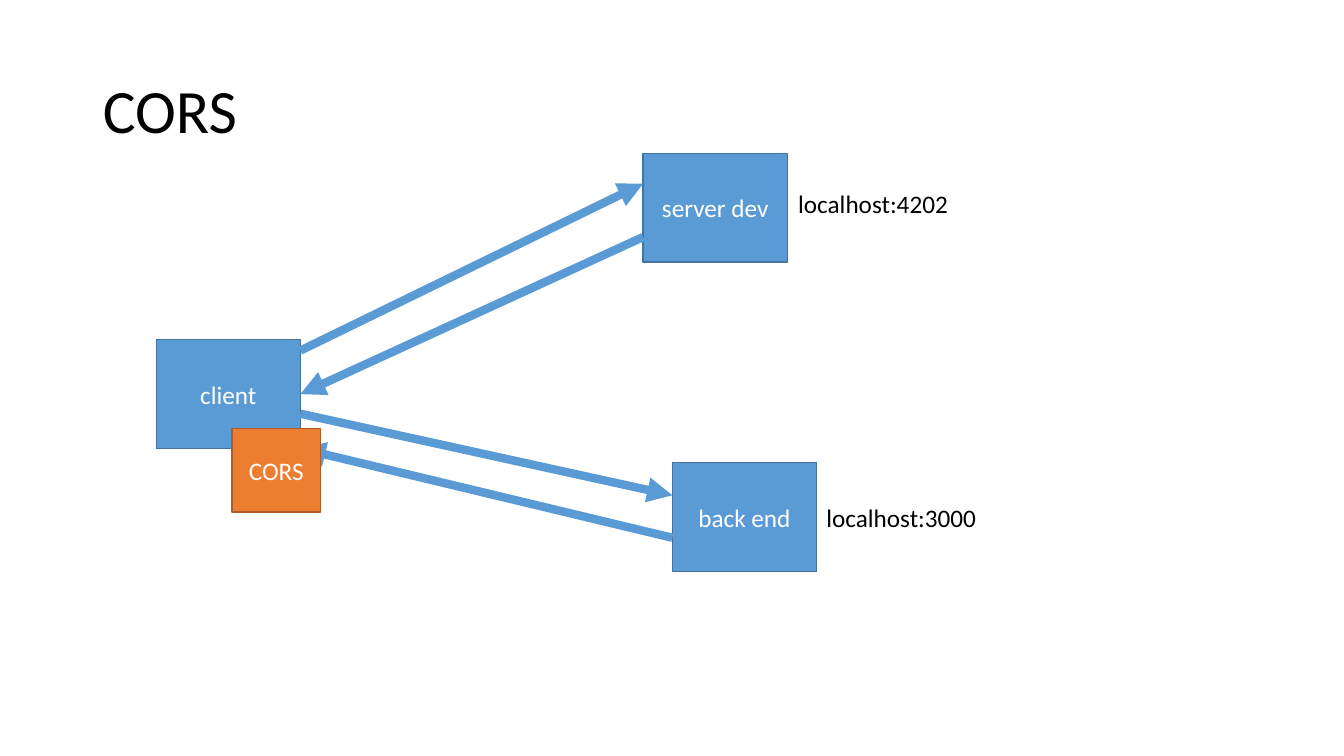
from lxml.etree import SubElement
from pptx import Presentation
from pptx.dml.color import RGBColor
from pptx.enum.shapes import MSO_CONNECTOR, MSO_SHAPE
from pptx.enum.text import MSO_ANCHOR, MSO_AUTO_SIZE, PP_ALIGN
from pptx.oxml.ns import qn
from pptx.util import Inches, Pt

TITLE = "CORS"
FONT = "Calibri"
COLORS = {
    "text": "000000", "label": "FFFFFF",
    "node": "5B9BD5", "node_edge": "43739E",
    "guard": "ED7D31", "guard_edge": "AF5C24",
}

COLUMNS, ROWS = 133.33, 75
TITLE_AREA = (9.2, 4, 115, 14.5)
NODE_SIZE = (14.3, 10.8)
NODES = {
    "client": (15.5, 33.7),
    "server dev": (63.8, 15.2),
    "back end": (66.7, 45.9),
}
ADDRESSES = {
    "localhost:4202": (78.2, 18.2),
    "localhost:3000": (81, 49.3),
}
ADDRESS_SIZE = (17, 4)
GUARD = ("CORS", (23, 42.5, 8.8, 8.3))
MESSAGES = [
    ("client", 0.1, "server dev", 0.28),
    ("server dev", 0.77, "client", 0.5),
    ("client", 0.68, "back end", 0.3),
    ("back end", 0.69, "client", 1),
]

deck = Presentation()
deck.slide_width, deck.slide_height = Inches(13.33), Inches(7.5)
slide = deck.slides.add_slide(deck.slide_layouts[5])


def place(column, row, *size):
    cell_width, cell_height = deck.slide_width / COLUMNS, deck.slide_height / ROWS
    units = (cell_width, cell_height) * 2
    return [round(n * unit) for n, unit in zip((column, row, *size), units)]


def write(frame, words, color, size=18, align=PP_ALIGN.LEFT, anchor=MSO_ANCHOR.MIDDLE):
    frame.text = words
    frame.vertical_anchor = anchor
    paragraph = frame.paragraphs[0]
    paragraph.alignment = align
    font = paragraph.runs[0].font
    font.name, font.size = FONT, Pt(size)
    font.color.rgb = RGBColor.from_string(COLORS[color])
    return paragraph


def add_box(words, area, kind):
    box = slide.shapes.add_shape(MSO_SHAPE.RECTANGLE, *place(*area))
    box.shadow.inherit = False
    box.fill.solid()
    box.fill.fore_color.rgb = RGBColor.from_string(COLORS[kind])
    box.line.color.rgb = RGBColor.from_string(COLORS[kind + "_edge"])
    box.line.width = Pt(1)
    write(box.text_frame, words, "label", align=PP_ALIGN.CENTER)


def port(node, share, facing_right):
    column, row = NODES[node]
    width, height = NODE_SIZE
    return place(column + width * facing_right, row + height * share)


def add_message(sender, sender_share, receiver, receiver_share):
    start = port(sender, sender_share, sender == "client")
    end = port(receiver, receiver_share, receiver == "client")
    arrow = slide.shapes.add_connector(MSO_CONNECTOR.STRAIGHT, *start, *end)
    arrow.line.color.rgb = RGBColor.from_string(COLORS["node"])
    arrow.line.width = Pt(6)
    SubElement(arrow.line._get_or_add_ln(), qn("a:tailEnd"), type="triangle")
    SubElement(arrow._element.spPr, qn("a:effectLst"))


title = slide.shapes.title
title.left, title.top, title.width, title.height = place(*TITLE_AREA)
write(title.text_frame, TITLE, "text", 44).line_spacing = 0.9

for name, corner in NODES.items():
    add_box(name, corner + NODE_SIZE, "node")

for address, corner in ADDRESSES.items():
    caption = slide.shapes.add_textbox(*place(*corner, *ADDRESS_SIZE)).text_frame
    write(caption, address, "text", anchor=MSO_ANCHOR.TOP)
    caption.word_wrap = False
    caption.auto_size = MSO_AUTO_SIZE.SHAPE_TO_FIT_TEXT

for message in MESSAGES:
    add_message(*message)

add_box(*GUARD, "guard")

deck.save("out.pptx")
